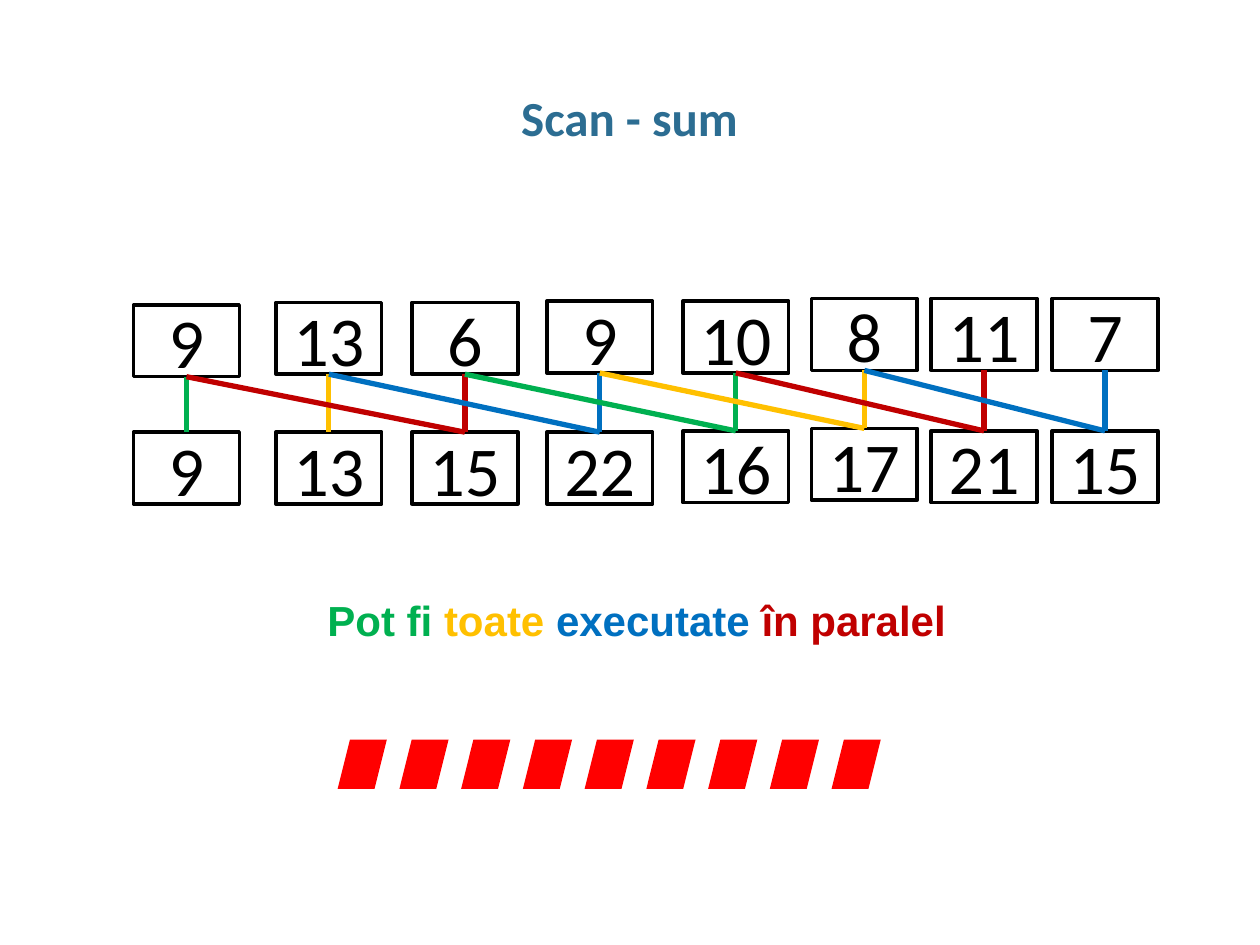
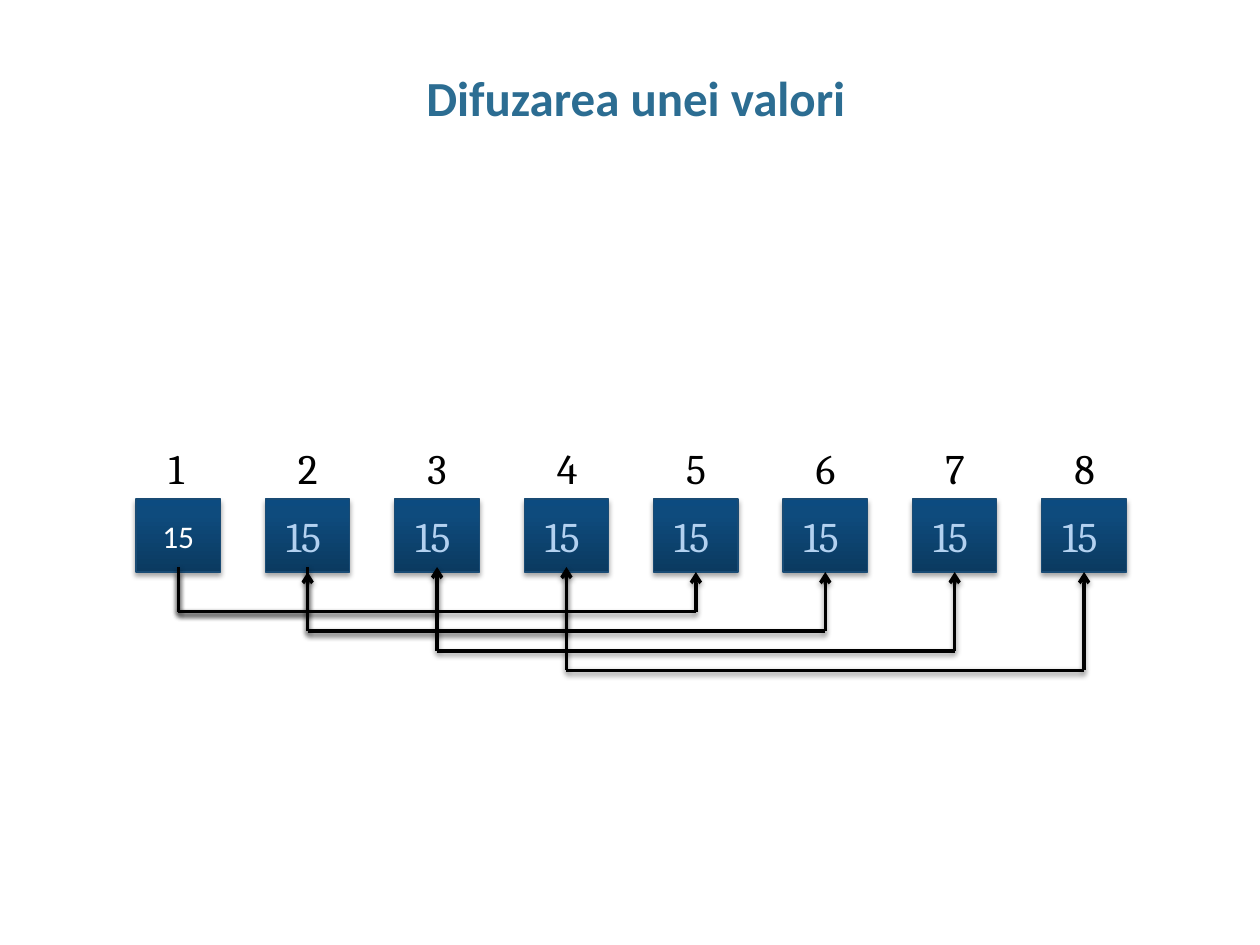
from lxml.etree import SubElement
from pptx import Presentation
from pptx.dml.color import RGBColor
from pptx.enum.shapes import MSO_CONNECTOR, MSO_SHAPE
from pptx.enum.text import MSO_ANCHOR, MSO_AUTO_SIZE, PP_ALIGN
from pptx.oxml.ns import qn
from pptx.util import Inches, Pt

COLOURS = {
    "title": "2C6D92",
    "black": "000000",
    "white": "FFFFFF",
    "green": "00B050",
    "yellow": "FFC000",
    "blue": "0070C0",
    "red": "C00000",
    "mark": "FF0000",
    "cell line": "194B74",
    "cell value": "B3D1F0",
}
CELL_GRADIENT = [(0, "0B3A60"), (80, "0E4B7D"), (100, "0C4B80")]

presentation = Presentation()
presentation.slide_width = Inches(10)
presentation.slide_height = Inches(7.5)
GRID = presentation.slide_width // 100


def add_block(slide, kind, cells, text="", font="Calibri", size=28, colour="black", bold=False, centred=True):
    place = [round(cell * GRID) for cell in cells]
    if kind is None:
        shape = slide.shapes.add_textbox(*place)
    else:
        shape = slide.shapes.add_shape(kind, *place)
        shape.shadow.inherit = False
        shape.fill.background()
        shape.text_frame.vertical_anchor = MSO_ANCHOR.MIDDLE
    if text:
        shape.text_frame.word_wrap = centred
        if not centred:
            shape.text_frame.auto_size = MSO_AUTO_SIZE.SHAPE_TO_FIT_TEXT
        shape.text_frame.text = text
        paragraph = shape.text_frame.paragraphs[0]
        paragraph.alignment = PP_ALIGN.CENTER if centred else PP_ALIGN.LEFT
        run_font = paragraph.runs[0].font
        run_font.name, run_font.size, run_font.bold = font, Pt(size), bold
        run_font.color.rgb = RGBColor.from_string(COLOURS[colour])
    return shape


def add_line(slide, start, end, colour, width):
    points = [round(cell * GRID) for cell in (*start, *end)]
    connector = slide.shapes.add_connector(MSO_CONNECTOR.STRAIGHT, *points)
    connector.line.color.rgb = RGBColor.from_string(COLOURS[colour])
    connector.line.width = Pt(width)
    SubElement(connector._element.spPr, qn("a:effectLst"))
    return connector


blank = presentation.slide_layouts[6]
scan_slide = presentation.slides.add_slide(blank)
broadcast_slide = presentation.slides.add_slide(blank)

for slide, title, cells in [
    (scan_slide, "Scan - sum", (3.4, 6.8, 93.1, 5)),
    (broadcast_slide, "Difuzarea unei valori", (1.7, 5.2, 97.5, 7.3)),
]:
    shape = add_block(slide, None, cells, title, colour="title", bold=True)
    shape.text_frame.margin_left = shape.text_frame.margin_right = 0
    shape.text_frame.paragraphs[0].line_spacing = 0.95

BOX_WIDTH, BOX_HEIGHT = 8.4, 5.7
box_lefts = [10.6, 21.9, 32.7, 43.4, 54.2, 64.4, 73.9, 83.5]
input_tops = [24.2, 24, 24, 23.9, 23.9, 23.7, 23.7, 23.7]
sum_tops = [34.3, 34.3, 34.3, 34.3, 34.2, 34, 34.2, 34.2]
inputs = [9, 13, 6, 9, 10, 8, 11, 7]
sums = [9, 13, 15, 22, 16, 17, 21, 15]
for tops, values in [(input_tops, inputs), (sum_tops, sums)]:
    for left, top, value in zip(box_lefts, tops, values):
        box = add_block(scan_slide, MSO_SHAPE.RECTANGLE, (left, top, BOX_WIDTH, BOX_HEIGHT), str(value), size=40)
        box.line.color.rgb = RGBColor.from_string(COLOURS["black"])
        box.line.width = Pt(2)

step_colours = ["green", "yellow", "red", "blue"]
for target, sum_top in enumerate(sum_tops):
    end = (box_lefts[target] + BOX_WIDTH / 2, sum_top)
    for source in (target - 2, target):
        if source >= 0:
            start = (box_lefts[source] + BOX_WIDTH / 2, input_tops[source] + BOX_HEIGHT)
            add_line(scan_slide, start, end, step_colours[target % 4], 3)

caption = add_block(scan_slide, None, (25, 46.7, 52.5, 5), "Pot fi ", "Arial", 24, "green", True, False)
caption_paragraph = caption.text_frame.paragraphs[0]
for text, colour in [("toate ", "yellow"), ("executate ", "blue"), ("în paralel", "red")]:
    run = caption_paragraph.add_run()
    run.text = text
    run.font.name, run.font.size, run.font.bold = "Arial", Pt(24), True
    run.font.color.rgb = RGBColor.from_string(COLOURS[colour])

for index in range(9):
    mark = add_block(scan_slide, MSO_SHAPE.PARALLELOGRAM, (26.8 + 4.9 * index, 58.7, 3.9, 3.9))
    mark.fill.solid()
    mark.fill.fore_color.rgb = RGBColor.from_string(COLOURS["mark"])
    mark.line.fill.background()

CELL_LEFT, CELL_TOP, CELL_PITCH = 10.8, 39.6, 10.27
CELL_WIDTH, CELL_HEIGHT = 6.7, 5.8
shadowed = []
for index in range(8):
    left = CELL_LEFT + CELL_PITCH * index
    cell = add_block(broadcast_slide, MSO_SHAPE.RECTANGLE, (left, CELL_TOP, CELL_WIDTH, CELL_HEIGHT),
                     "" if index else "15", size=18, colour="white")
    cell.fill.gradient()
    cell.fill.gradient_angle = 90
    stops = cell._element.spPr.find(".//" + qn("a:gsLst"))
    stops.clear()
    for position, colour in CELL_GRADIENT:
        stop = SubElement(stops, qn("a:gs"), pos=str(position * 1000))
        SubElement(stop, qn("a:srgbClr"), val=colour)
    cell.line.color.rgb = RGBColor.from_string(COLOURS["cell line"])
    cell.line.width = Pt(0.75)
    shadowed.append((cell, 35, 1.8))
    add_block(broadcast_slide, None, (left + 1.6, 34.6, 3.7, 5), str(index + 1), "Cambria", 24, centred=False)
    if index:
        add_block(broadcast_slide, None, (left + 0.65, 40, 5.4, 5.1), "15", "Cambria", 24, "cell value", centred=False)

low, high = CELL_TOP + CELL_HEIGHT, 45
for source, target, top in [(0, 1, low), (0, 2, high), (1, 3, high), (0, 4, low), (1, 5, low), (2, 6, low), (3, 7, low)]:
    source_x, target_x = [CELL_LEFT + CELL_PITCH * index + CELL_WIDTH / 2 for index in (source, target)]
    rail = 48.55 + 1.55 * source
    corners = [(source_x, top), (source_x, rail), (target_x, rail), (target_x, top)]
    for start, end in zip(corners, corners[1:]):
        connector = add_line(broadcast_slide, start, end, "black", 2)
        shadowed.append((connector, 38, 1.6))
    SubElement(connector._element.spPr.find(qn("a:ln")), qn("a:tailEnd"), type="arrow")

for shape, opacity, distance in shadowed:
    effects = shape._element.spPr.find(qn("a:effectLst"))
    shadow = SubElement(effects, qn("a:outerShdw"), blurRad=str(Pt(3.1)), dist=str(Pt(distance)),
                        dir="5400000", rotWithShape="0")
    shadow_colour = SubElement(shadow, qn("a:srgbClr"), val=COLOURS["black"])
    SubElement(shadow_colour, qn("a:alpha"), val=str(opacity * 1000))

presentation.save("out.pptx")
